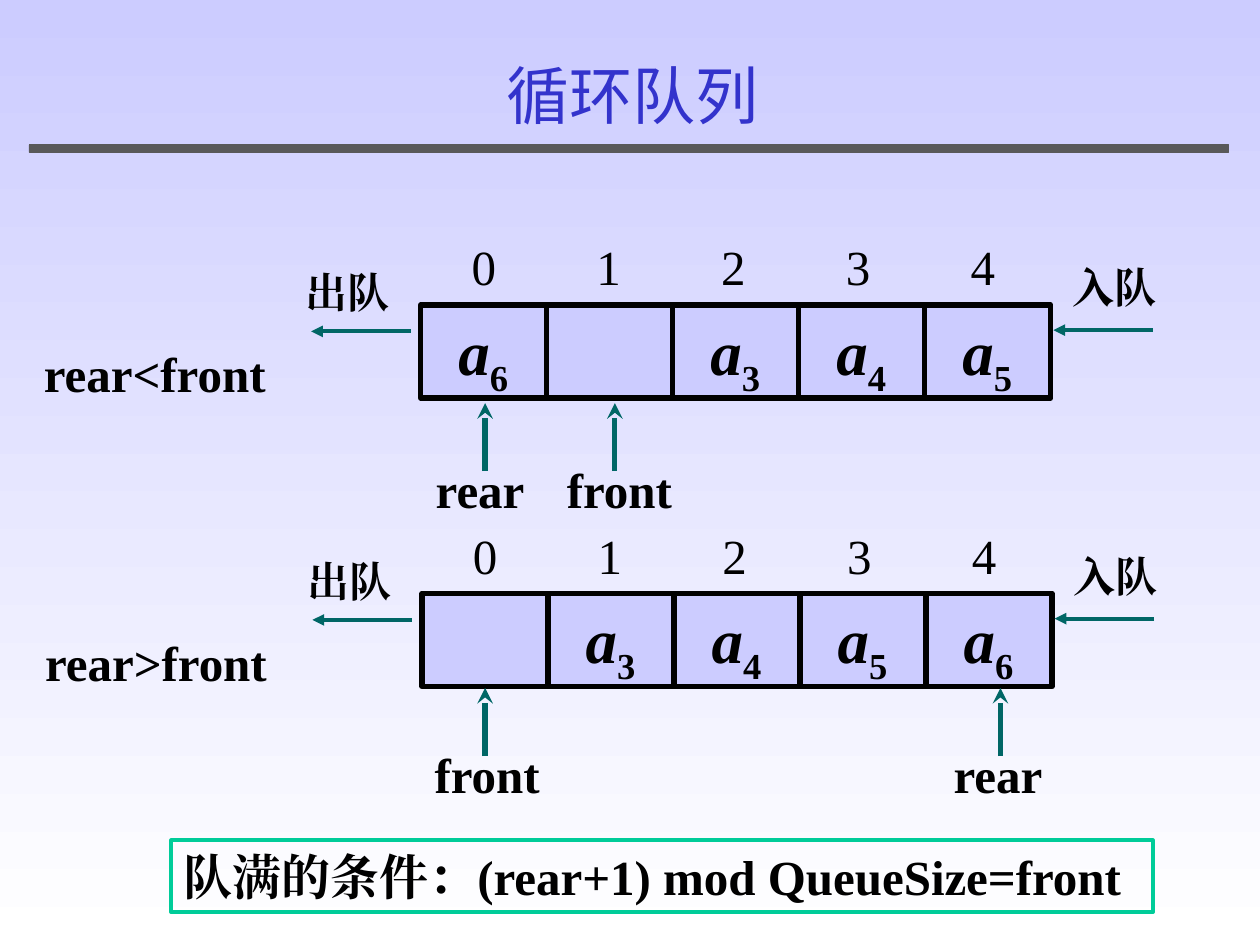
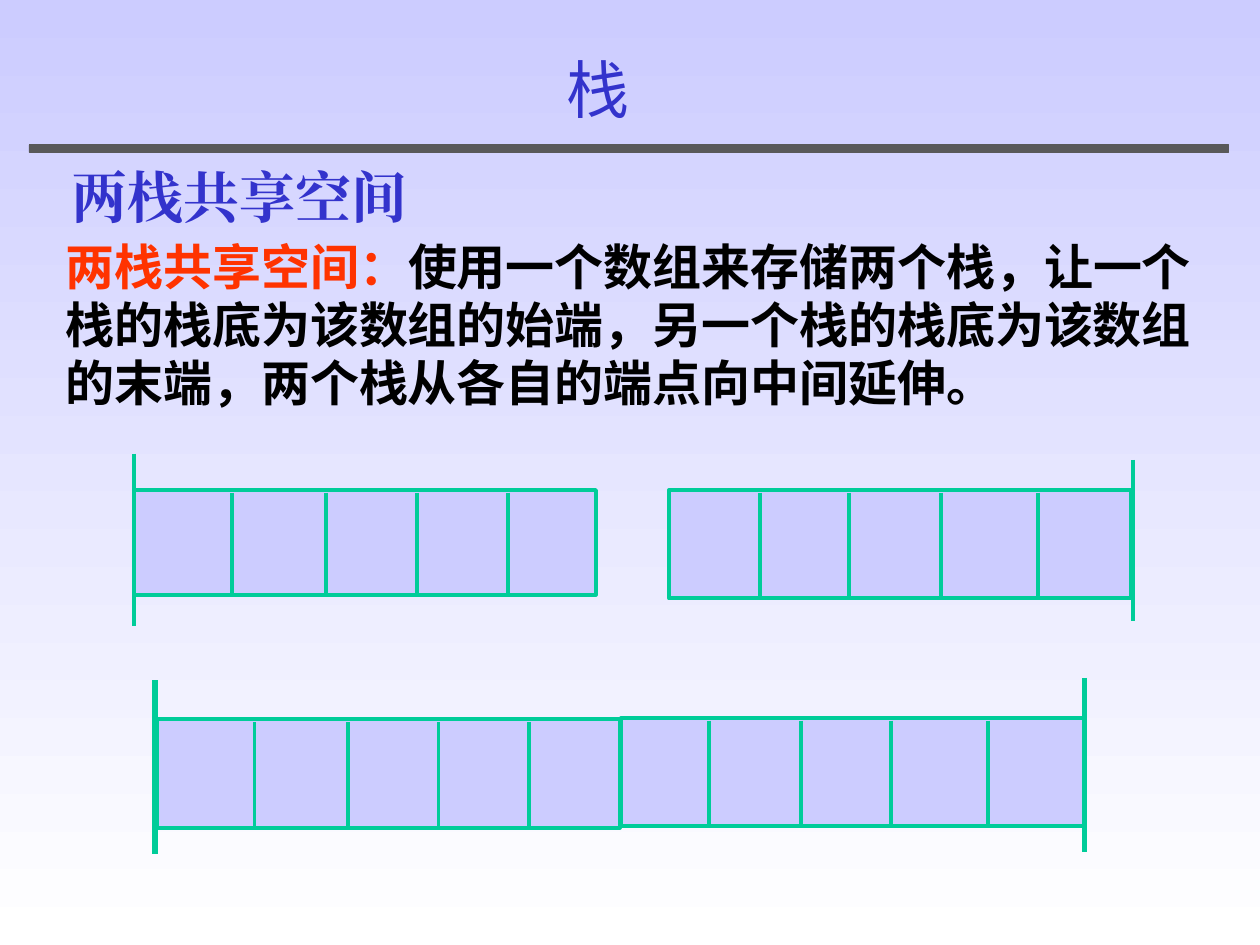
import pptx
import pptx.util
import pptx.dml.color
import pptx.enum.shapes
import pptx.enum.text
import pptx.oxml
import pptx.oxml.ns

Inches, Pt = pptx.util.Inches, pptx.util.Pt
RGB = pptx.dml.color.RGBColor
SHAPE = pptx.enum.shapes.MSO_SHAPE
ALIGN = pptx.enum.text.PP_ALIGN
ANCHOR = pptx.enum.text.MSO_ANCHOR
qn, NS = pptx.oxml.ns.qn, pptx.oxml.ns.nsdecls("a")

LAVENDER = RGB(0xCC, 0xCC, 0xFF)
WHITE = RGB(0xFF, 0xFF, 0xFF)
BLACK = RGB(0, 0, 0)
BLUE = RGB(0x33, 0x33, 0xCC)
GREEN = RGB(0x00, 0xCC, 0x99)
TEAL = RGB(0x00, 0x66, 0x66)
RED = RGB(0xFF, 0x33, 0x00)
GRAY = RGB(0x59, 0x59, 0x59)
SERIF, SANS = "Times New Roman", "Noto Sans CJK SC"


def text(sp, *parts, size=28, font=SERIF, color=BLACK, bold=True, italic=False,
         align=ALIGN.LEFT, anchor=ANCHOR.TOP, margin=0.1, line_pt=None,
         sub=None, shadow=False):
    """Fill a shape with one paragraph; a part is a string or (string, colour)."""
    tf = sp.text_frame
    tf.word_wrap = True
    tf.auto_size = pptx.enum.text.MSO_AUTO_SIZE.NONE
    tf.vertical_anchor = anchor
    tf.margin_left = tf.margin_right = Inches(margin)
    tf.margin_top = tf.margin_bottom = Inches(0.05)
    p = tf.paragraphs[0]
    p.alignment = align
    if line_pt:
        p.line_spacing = Pt(line_pt)
    for part in parts + ((sub,) if sub else ()):
        words, ink = part if isinstance(part, tuple) else (part, color)
        r = p.add_run()
        r.text = words
        r.font.size, r.font.name, r.font.bold = Pt(size), font, bold
        r.font.italic = italic and part is not sub
        r.font.color.rgb = ink
        rPr = r.font._element
        rPr.find(qn("a:latin")).addnext(
            pptx.oxml.parse_xml(f'<a:ea {NS} typeface="{font}"/>'))
        if sub and part is sub:
            rPr.set("baseline", "-25000")
        if shadow:
            rPr.find(qn("a:solidFill")).addnext(pptx.oxml.parse_xml(
                f'<a:effectLst {NS}><a:outerShdw dist="35921" dir="2700000">'
                '<a:srgbClr val="808080"/></a:outerShdw></a:effectLst>'))


def line(s, x1, y1, x2, y2, color=GREEN, width=2.25, arrow=None):
    c = s.shapes.add_connector(pptx.enum.shapes.MSO_CONNECTOR.STRAIGHT,
                               Inches(x1), Inches(y1), Inches(x2), Inches(y2))
    c.line.color.rgb, c.line.width = color, Pt(width)
    if arrow:
        c.line._get_or_add_ln().append(
            pptx.oxml.parse_xml(f'<a:tailEnd {NS} type="{arrow}"/>'))
    c._element.spPr.append(pptx.oxml.parse_xml(f"<a:effectLst {NS}/>"))


prs = pptx.Presentation()
prs.slide_width, prs.slide_height = Inches(10), Inches(7.5)

# Shared background
fill = prs.slide_master.background.fill
fill.gradient()
fill.gradient_angle = 270
for stop, color in zip(fill.gradient_stops, (LAVENDER, WHITE)):
    stop.color.rgb = color

# Shared title style and rule under the title
slides = []
for title, box in (("循环队列", (0.47, 0.4, 9.1, 0.7)), ("栈", (2.54, 0.35, 4.41, 0.7))):
    s = prs.slides.add_slide(prs.slide_layouts[5])
    sp = s.shapes.title
    sp.left, sp.top, sp.width, sp.height = map(Inches, box)
    text(sp, title, size=36, font=SANS, color=BLUE, bold=False,
         align=ALIGN.CENTER, anchor=ANCHOR.MIDDLE, shadow=True)
    rule = s.shapes.add_shape(SHAPE.RECTANGLE, Inches(0.23), Inches(1.15),
                              Inches(9.52), Inches(0.06))
    rule.shadow.inherit = False
    rule.fill.solid()
    rule.fill.fore_color.rgb = rule.line.color.rgb = GRAY
    rule.line.width = Pt(0.5)
    slides.append(s)

# Slide 1: two states of the circular queue
s = slides[0]
queues = (
    # left, top, condition, elements, pointers (name, arrow x, label x)
    (3.34, 2.42, "rear<front", ("6", None, "3", "4", "5"),
     (("rear", 3.85, 3.36), ("front", 4.88, 4.4)), 3.2),
    (3.35, 4.71, "rear>front", (None, "3", "4", "5", "6"),
     (("front", 3.85, 3.35), ("rear", 7.94, 7.47)), 5.46),
)
for x, y, condition, elements, pointers, tip in queues:
    for i, element in enumerate(elements):
        cell = s.shapes.add_shape(SHAPE.RECTANGLE, Inches(x + i), Inches(y),
                                  Inches(1), Inches(0.74))
        cell.shadow.inherit = False
        cell.fill.solid()
        cell.fill.fore_color.rgb = LAVENDER
        cell.line.color.rgb, cell.line.width = BLACK, Pt(3)
        index = s.shapes.add_textbox(Inches(x + 0.25 + 0.99 * i), Inches(y - 0.59),
                                     Inches(0.5), Inches(0.57))
        text(index, str(i), bold=False, align=ALIGN.CENTER)
        if element:
            label = s.shapes.add_textbox(Inches(x + 0.2 + i), Inches(y + 0.01),
                                         Inches(0.64), Inches(0.79))
            text(label, "a", sub=element, size=36, italic=True)
    for words, dx, dy, width, size in ((condition, -3.09, 0.26, 2.2, 28),
                                       ("出队", -1.01, -0.35, 1.08, 24),
                                       ("入队", 5.07, -0.39, 1.08, 24)):
        label = s.shapes.add_textbox(Inches(x + dx), Inches(y + dy),
                                     Inches(width), Inches(size / 48))
        text(label, words, size=size)
    for start, dy in ((5.81, 0.2), (-0.08, 0.21)):
        line(s, x + start, y + dy, x + start - 0.79, y + dy, TEAL, arrow="triangle")
    for name, arrow_x, label_x in pointers:
        line(s, arrow_x, tip + 0.54, arrow_x, tip, TEAL, 3, "stealth")
        label = s.shapes.add_textbox(Inches(label_x), Inches(tip + 0.4),
                                     Inches(1.05), Inches(0.57))
        text(label, name)

# Full-queue condition
sp = s.shapes.add_shape(SHAPE.RECTANGLE, Inches(1.36), Inches(6.67),
                        Inches(7.79), Inches(0.57))
sp.shadow.inherit = False
sp.fill.background()
sp.line.color.rgb, sp.line.width = GREEN, Pt(2.25)
text(sp, "队满的条件：(rear+1) mod QueueSize=front")

# Slide 2: two stacks, apart and then sharing one array
s = slides[1]
stacks = (
    # left, top, height, dividers, end wall (x, top, bottom, width)
    (1.06, 3.89, 0.83, (1.84, 2.59, 3.31, 4.03), (1.06, 3.6, 4.97, 2.25)),
    (5.31, 3.89, 0.86, (6.03, 6.74, 7.47, 8.24), (8.99, 3.65, 4.93, 2.25)),
    (1.25, 5.71, 0.86, (2.02, 2.76, 3.48, 4.2), (1.23, 5.4, 6.78, 3)),
    (4.93, 5.7, 0.86, (5.63, 6.36, 7.07, 7.84), (8.61, 5.38, 6.76, 3)),
)
for x, y, height, dividers, (wall_x, wall_top, wall_bottom, wall_width) in stacks:
    sp = s.shapes.add_shape(SHAPE.RECTANGLE, Inches(x), Inches(y),
                            Inches(3.67), Inches(height))
    sp.shadow.inherit = False
    sp.fill.solid()
    sp.fill.fore_color.rgb = LAVENDER
    sp.line.color.rgb, sp.line.width = GREEN, Pt(2.25)
    for divider_x in dividers:
        line(s, divider_x, y + 0.02, divider_x, y + height - 0.01)
    line(s, wall_x, wall_top, wall_x, wall_bottom, width=wall_width)

# Heading and definition
sp = s.shapes.add_textbox(Inches(0.47), Inches(1.24), Inches(5), Inches(0.64))
text(sp, "两栈共享空间", size=32, color=BLUE)
sp = s.shapes.add_textbox(Inches(0.52), Inches(1.83), Inches(9.06), Inches(1.58))
text(sp, ("两栈共享空间：", RED),
     "使用一个数组来存储两个栈，让一个栈的栈底为该数组的始端，"
     "另一个栈的栈底为该数组的末端，两个栈从各自的端点向中间延伸。",
     font=SANS, margin=0, line_pt=33.3)

prs.save("out.pptx")
